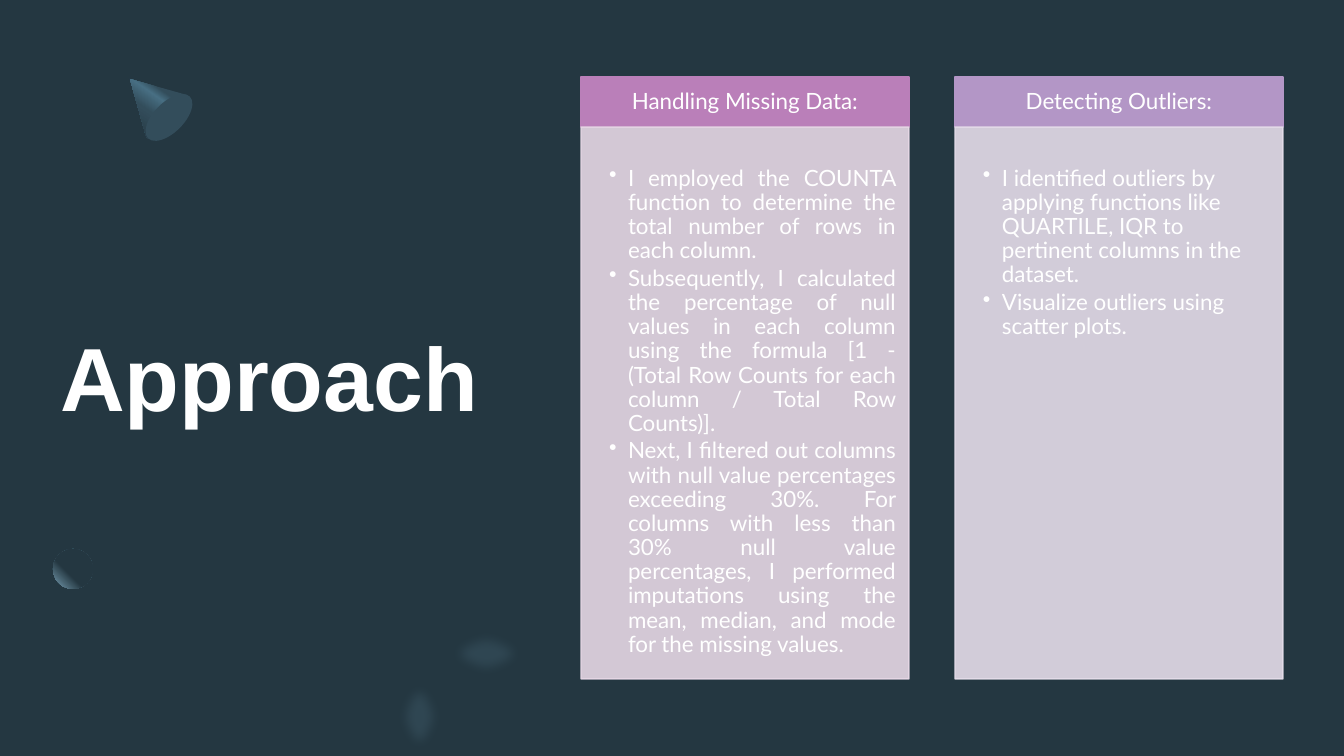
from lxml.etree import SubElement
from pptx import Presentation
from pptx.dml.color import RGBColor
from pptx.enum.shapes import MSO_SHAPE
from pptx.enum.text import MSO_ANCHOR, PP_ALIGN
from pptx.oxml.ns import qn
from pptx.util import Emu, Pt

SCALE = 914400 / 100.8
COLORS = {
    "back": "243741", "white": "FFFFFF", "cone": "334D5B", "shine": "486F83",
    "glow": "7BA2B6", "spot": "314854", "pink": "BA7FB9", "rose": "E7D8E6",
    "violet": "B396C6", "lilac": "E5DDEA",
}
CARDS = [
    ("Handling Missing Data:", "pink", "rose", PP_ALIGN.JUSTIFY, [
        "I employed the COUNTA function to determine the total number of rows "
        "in each column.",
        "Subsequently, I calculated the percentage of null values in each "
        "column using the formula [1 - (Total Row Counts for each column / "
        "Total Row Counts)].",
        "Next, I filtered out columns with null value percentages exceeding "
        "30%. For columns with less than 30% null value percentages, I "
        "performed imputations using the mean, median, and mode for the "
        "missing values.",
    ]),
    ("Detecting Outliers:", "violet", "lilac", PP_ALIGN.LEFT, [
        "I identified outliers by applying functions like QUARTILE, IQR to "
        "pertinent columns in the dataset.",
        "Visualize outliers using scatter plots.",
    ]),
]
WIDE, HIGH = 1344, 756
LEFT, TOP, WIDTH, STEP = 581, 77, 328, 374
HEAD, BODY = 50, 552


def px(num):
    return Emu(round(num * SCALE))


def color(name):
    return RGBColor.from_string(COLORS[name])


def paint(shape, fill, line=None):
    shape.shadow.inherit = False
    shape.fill.solid()
    shape.fill.fore_color.rgb = color(fill)
    if line:
        shape.line.color.rgb = color(line)
        shape.line.width = Pt(1)
    else:
        shape.line.fill.background()


def add_box(slide, kind, box, fill, line=None):
    shape = slide.shapes.add_shape(kind, *map(px, box))
    paint(shape, fill, line)
    return shape


def blend(shape, stops, angle=None, focus=None):
    """Swap the solid fill for a gradient, linear or round."""
    props = shape._element.spPr
    solid = props.find(qn("a:solidFill"))
    grad = SubElement(props, qn("a:gradFill"), rotWithShape="1")
    props.replace(solid, grad)
    items = SubElement(grad, qn("a:gsLst"))
    for pos, name in stops:
        stop = SubElement(items, qn("a:gs"), pos=str(pos * 1000))
        SubElement(stop, qn("a:srgbClr"), val=COLORS[name])
    if focus:
        path = SubElement(grad, qn("a:path"), path="circle")
        sides = {side: str(val * 1000) for side, val in zip("ltrb", focus)}
        SubElement(path, qn("a:fillToRect"), **sides)
    else:
        SubElement(grad, qn("a:lin"), ang=str(angle * 60000), scaled="0")


def soften(shape, size):
    effects = shape._element.spPr.find(qn("a:effectLst"))
    SubElement(effects, qn("a:softEdge"), rad=str(px(size)))


def set_alpha(shape, percent):
    for node in shape._element.spPr.iter(qn("a:srgbClr")):
        SubElement(node, qn("a:alpha"), val=str(percent * 1000))


def set_frame(shape, insets, anchor):
    frame = shape.text_frame
    frame.word_wrap = True
    frame.vertical_anchor = anchor
    (frame.margin_left, frame.margin_top,
     frame.margin_right, frame.margin_bottom) = map(px, insets)
    return frame


def style(para, size, font, align, bold=False):
    para.alignment = align
    para.font.size = Pt(size)
    para.font.name = font
    para.font.bold = bold
    para.font.color.rgb = color("white")


def add_bullet(para):
    props = para._p.get_or_add_pPr()
    props.set("marL", str(px(38)))
    props.set("indent", str(px(-19)))
    mark = SubElement(props, qn("a:buChar"), char="•")
    rest = props.find(qn("a:defRPr"))
    if rest is not None:
        rest.addprevious(mark)


def add_card(slide, left, label, dark, light, align, points):
    # Header band
    head = add_box(slide, MSO_SHAPE.RECTANGLE, (left, TOP, WIDTH, HEAD),
                   dark, dark)
    frame = set_frame(head, (12, 7, 12, 7), MSO_ANCHOR.MIDDLE)
    para = frame.paragraphs[0]
    para.text = label
    para.line_spacing = 0.9
    style(para, 16, "Lato", PP_ALIGN.CENTER)

    # Body with bullets
    body = add_box(slide, MSO_SHAPE.RECTANGLE, (left, TOP + HEAD, WIDTH, BODY),
                   light, light)
    set_alpha(body, 90)
    frame = set_frame(body, (9, 40, 13, 14), MSO_ANCHOR.TOP)
    for index, point in enumerate(points):
        para = frame.add_paragraph() if index else frame.paragraphs[0]
        para.text = point
        para.line_spacing = 0.9
        para.space_after = Pt(2.4)
        style(para, 16, "Lato", align)
        add_bullet(para)


def add_cone(slide):
    pen = slide.shapes.build_freeform(130, 79, scale=SCALE)
    pen.add_line_segments([(187, 95), (190, 98), (179, 128),
                           (148, 139), (146, 136)])
    side = pen.convert_to_shape()
    paint(side, "cone")
    blend(side, [(30, "cone"), (40, "shine"), (60, "cone"), (100, "back")],
          angle=125)
    base = add_box(slide, MSO_SHAPE.OVAL, (154, 88, 30, 59), "cone")
    base.rotation = 45


def main():
    deck = Presentation()
    deck.slide_width, deck.slide_height = px(WIDE), px(HIGH)
    slide = deck.slides.add_slide(deck.slide_layouts[5])
    slide.background.fill.solid()
    slide.background.fill.fore_color.rgb = color("back")

    # Backdrop, behind the title
    title = slide.shapes.title
    back = add_box(slide, MSO_SHAPE.RECTANGLE, (0, 0, WIDE, HIGH), "back")
    title._element.addprevious(back._element)

    # Title
    title.left, title.top, title.width, title.height = map(
        px, (60, 168, 500, 416))
    frame = set_frame(title, (0, 0, 0, 0), MSO_ANCHOR.MIDDLE)
    frame.text = "Approach"
    style(frame.paragraphs[0], 64, "Arial", PP_ALIGN.LEFT, bold=True)

    # Ornaments
    add_cone(slide)
    ball = add_box(slide, MSO_SHAPE.OVAL, (53, 549, 40, 40), "back")
    blend(ball, [(60, "back"), (100, "glow")], focus=(100, 0, 0, 100))
    for box in [(445, 629, 84, 50), (395, 677, 50, 80)]:
        soften(add_box(slide, MSO_SHAPE.OVAL, box, "spot"), 11)

    # Cards
    for index, card in enumerate(CARDS):
        add_card(slide, LEFT + index * STEP, *card)
    deck.save("out.pptx")


if __name__ == "__main__":
    main()
